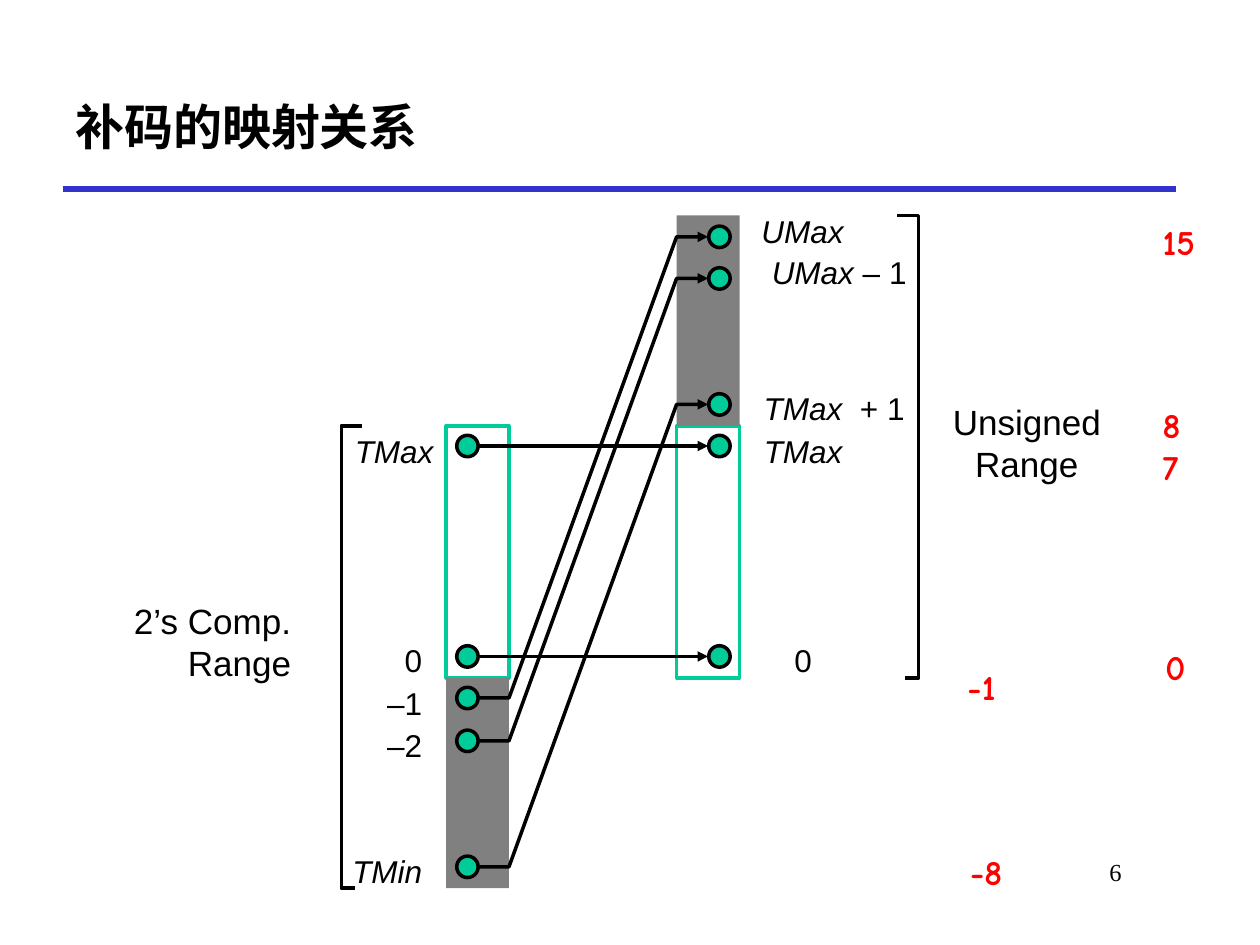
from lxml.etree import SubElement
from pptx import Presentation
from pptx.dml.color import RGBColor
from pptx.enum.shapes import MSO_CONNECTOR as CONN, MSO_SHAPE as SHAPE
from pptx.enum.text import MSO_ANCHOR as ANCHOR, PP_ALIGN as ALIGN
from pptx.oxml.ns import qn
from pptx.util import Inches, Pt

COLORS = {"black": "000000", "red": "FF0000", "green": "00CC99",
          "gray": "808080", "white": "FFFFFF", "blue": "3333CC"}
LEFT, CENTER, RIGHT = ALIGN.LEFT, ALIGN.CENTER, ALIGN.RIGHT


def rgb(name):
    return RGBColor.from_string(COLORS[name])


class Deck:
    font = "Arial"
    hand = "Comic Neue"
    serif = "Times New Roman"
    dot_size = 0.17
    line_width = 2

    def __init__(self, slide):
        self.s = slide

    def text(self, x, y, w, h, lines, size=18, align=LEFT, font=None,
             color="black", bold=False, wrap=False, anchor=ANCHOR.TOP):
        sp = self.s.shapes.add_textbox(Inches(x), Inches(y), Inches(w), Inches(h))
        tf = sp.text_frame
        tf.word_wrap = wrap
        tf.vertical_anchor = anchor
        for i, runs in enumerate(lines):
            p = tf.add_paragraph() if i else tf.paragraphs[0]
            p.alignment = align
            for content, italic in runs:
                r = p.add_run()
                r.text = content
                r.font.name = font or self.font
                r.font.size = Pt(size)
                r.font.bold = bold
                r.font.italic = italic
                r.font.color.rgb = rgb(color)

    def shape(self, kind, x, y, w, h, fill, line=None):
        sp = self.s.shapes.add_shape(kind, Inches(x), Inches(y), Inches(w), Inches(h))
        sp.shadow.inherit = False
        sp.fill.solid()
        sp.fill.fore_color.rgb = rgb(fill)
        if line:
            self.stroke(sp, line)
        else:
            sp.line.fill.background()

    def dot(self, x, y):
        d = self.dot_size
        self.shape(SHAPE.OVAL, x - d / 2, y - d / 2, d, d, "green", "black")

    def stroke(self, sp, color="black", width=None, arrow=False):
        sp.line.color.rgb = rgb(color)
        sp.line.width = Pt(width or self.line_width)
        if arrow:
            SubElement(sp.line._get_or_add_ln(), qn("a:tailEnd"), type="triangle")

    def line(self, x1, y1, x2, y2, color="black", width=None, arrow=False):
        c = self.s.shapes.add_connector(
            CONN.STRAIGHT, Inches(x1), Inches(y1), Inches(x2), Inches(y2))
        self.stroke(c, color, width, arrow)
        SubElement(c._element.spPr, qn("a:effectLst"))

    def path_line(self, points, arrow=False):
        start, *rest = [(Inches(x), Inches(y)) for x, y in points]
        fb = self.s.shapes.build_freeform(*start)
        fb.add_line_segments(rest, close=False)
        sp = fb.convert_to_shape()
        sp.shadow.inherit = False
        sp.fill.background()
        self.stroke(sp, arrow=arrow)


def main():
    prs = Presentation()
    prs.slide_width, prs.slide_height = Inches(10), Inches(7.5)
    deck = Deck(prs.slides.add_slide(prs.slide_layouts[6]))

    deck.line(0.5, 1.5, 9.33, 1.5, "blue", 3)
    deck.text(7.58, 6.75, 1.42, 0.5, [[("6", False)]], 14, RIGHT, deck.serif, wrap=True)
    deck.text(0.5, 0.5, 8.83, 1, [[("补码的映射关系", False)]], 28, font=deck.hand,
              bold=True, wrap=True, anchor=ANCHOR.MIDDLE)

    signed_x, unsigned_x, bar_w = 3.54, 5.37, 0.5
    top, middle, zero, bottom = 1.71, 3.38, 5.38, 7.05
    for x in (unsigned_x, signed_x):
        deck.shape(SHAPE.RECTANGLE, x, middle, bar_w, zero - middle, "white", "green")
    deck.shape(SHAPE.RECTANGLE, signed_x, zero, bar_w, bottom - zero, "gray")
    deck.shape(SHAPE.RECTANGLE, unsigned_x, top, bar_w, middle - top, "gray")

    dot_from, dot_to = 3.71, 5.71
    line_from, line_to = 3.79, 5.62
    mapping = [(3.54, 3.54), (5.21, 5.21), (5.54, 1.88), (5.88, 2.21), (6.88, 3.21)]
    for y1, y2 in mapping:
        deck.dot(dot_from, y1)
        deck.dot(dot_to, y2)
        if y1 == y2:
            deck.line(line_from, y1, line_to, y2, arrow=True)
        else:
            deck.path_line([(line_from, y1), (signed_x + bar_w, y1),
                            (unsigned_x, y2), (line_to, y2)], arrow=True)

    labels = [
        (2.71, 3.38, 0.83, RIGHT, [("TMax", True)]),
        (2.62, 5.04, 0.83, RIGHT, [("0", False)]),
        (2.62, 5.38, 0.83, RIGHT, [("–1", False)]),
        (2.62, 5.71, 0.83, RIGHT, [("–2", False)]),
        (2.69, 6.71, 0.76, RIGHT, [("TMin", True)]),
        (5.87, 1.63, 1, CENTER, [("UMax", True)]),
        (5.87, 1.96, 1.58, CENTER, [("UMax", True), (" – 1", False)]),
        (5.96, 3.04, 1.32, CENTER, [("TMax  ", True), ("+ 1", False)]),
        (5.96, 3.38, 0.83, CENTER, [("TMax", True)]),
        (5.96, 5.04, 0.83, CENTER, [("0", False)]),
    ]
    for x, y, w, align, runs in labels:
        deck.text(x, y, w, 0.4, [runs], align=align)

    deck.path_line([(2.82, bottom), (2.71, bottom), (2.71, middle), (2.87, middle)])
    deck.path_line([(7.18, zero), (7.29, zero), (7.29, top), (7.12, top)])
    deck.text(0.96, 4.71, 1.45, 0.77, [[("2’s Comp.", False)], [("Range", False)]], 20, RIGHT)
    deck.text(7.46, 3.13, 1.38, 0.77, [[("Unsigned", False)], [("Range", False)]], 20, CENTER)

    examples = [("0", 9.15, 5.07, 0.37), ("7", 9.13, 3.49, 0.37), ("8", 9.13, 3.15, 0.37),
                ("15", 9.13, 1.7, 0.5), ("-1", 7.58, 5.23, 0.45), ("-8", 7.6, 6.7, 0.49)]
    for value, x, y, w in examples:
        deck.text(x, y, w, 0.44, [[(value, False)]], 20, font=deck.hand,
                  color="red", bold=True)

    prs.save("out.pptx")


if __name__ == "__main__":
    main()
